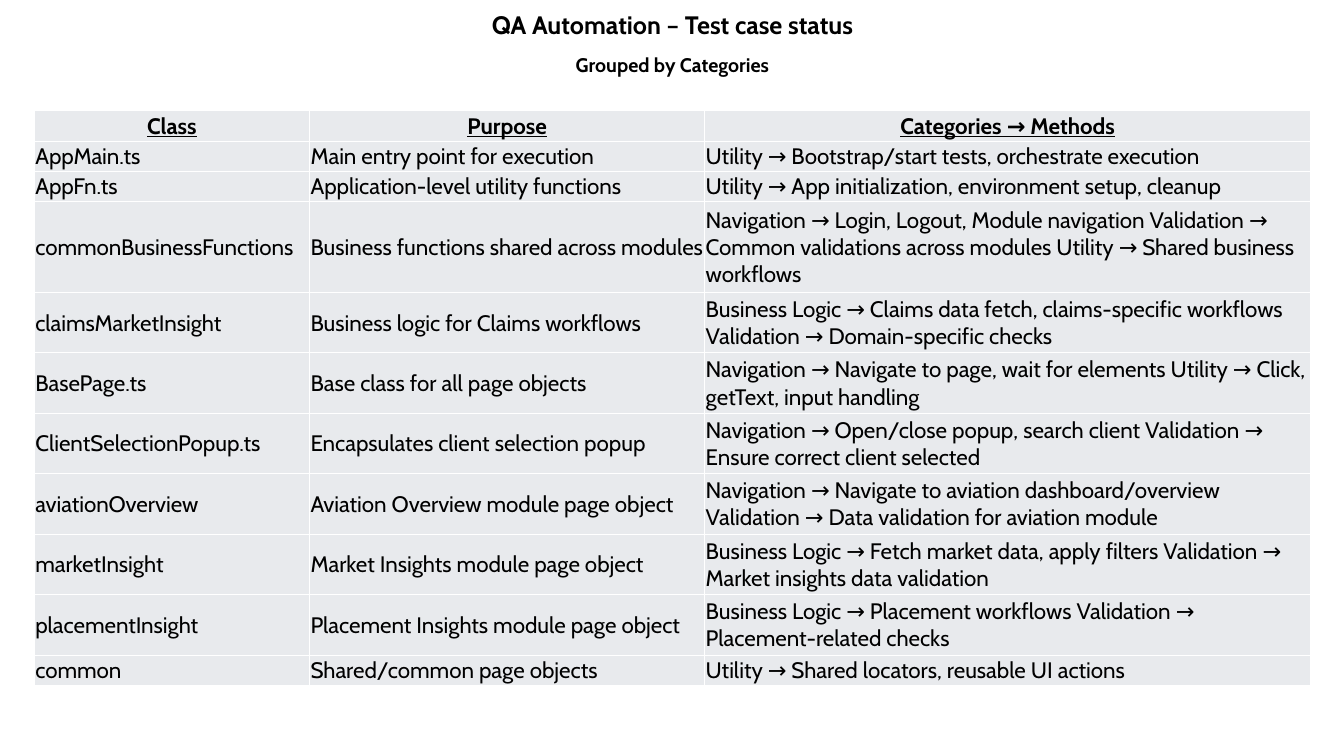
from lxml import etree
from pptx import Presentation
from pptx.dml.color import RGBColor
from pptx.enum.text import MSO_ANCHOR, PP_ALIGN
from pptx.oxml.ns import qn
from pptx.util import Inches, Pt

CENTER, LEFT = PP_ALIGN.CENTER, PP_ALIGN.LEFT
MIDDLE = MSO_ANCHOR.MIDDLE
FONT = "Cabin"
COLORS = {"text": "000000", "cell": "E8EAED", "border": "FFFFFF"}
WIDTHS = [2.73, 3.92, 6.01]
LINE = 0.3  # row height for each line of text

HEAD = ("Class", "Purpose", "Categories → Methods")
# Lines of text in the row, then its three cells
ROWS = [
    (1, "AppMain.ts", "Main entry point for execution",
     "Utility → Bootstrap/start tests, orchestrate execution"),
    (1, "AppFn.ts", "Application-level utility functions",
     "Utility → App initialization, environment setup, cleanup"),
    (3, "commonBusinessFunctions", "Business functions shared across modules",
     "Navigation → Login, Logout, Module navigation Validation → Common "
     "validations across modules Utility → Shared business workflows"),
    (2, "claimsMarketInsight", "Business logic for Claims workflows",
     "Business Logic → Claims data fetch, claims-specific workflows "
     "Validation → Domain-specific checks"),
    (2, "BasePage.ts", "Base class for all page objects",
     "Navigation → Navigate to page, wait for elements "
     "Utility → Click, getText, input handling"),
    (2, "ClientSelectionPopup.ts", "Encapsulates client selection popup",
     "Navigation → Open/close popup, search client "
     "Validation → Ensure correct client selected"),
    (2, "aviationOverview", "Aviation Overview module page object",
     "Navigation → Navigate to aviation dashboard/overview "
     "Validation → Data validation for aviation module"),
    (2, "marketInsight", "Market Insights module page object",
     "Business Logic → Fetch market data, apply filters "
     "Validation → Market insights data validation"),
    (2, "placementInsight", "Placement Insights module page object",
     "Business Logic → Placement workflows "
     "Validation → Placement-related checks"),
    (1, "common", "Shared/common page objects",
     "Utility → Shared locators, reusable UI actions"),
]


def write(frame, text, align, **style):
    """Fill a text frame with one paragraph in the slide's font."""
    para = frame.paragraphs[0]
    para.alignment = align
    run = para.add_run()
    run.text = text
    for name, value in {"name": FONT, **style}.items():
        setattr(run.font, name, value)
    run.font.color.rgb = RGBColor.from_string(COLORS["text"])
    return para


def add_label(slide, box, text, size):
    frame = slide.shapes.add_textbox(*map(Inches, box)).text_frame
    frame.word_wrap = True
    return write(frame, text, CENTER, size=Pt(size), bold=True)


def add_borders(cell):
    props = cell._tc.get_or_add_tcPr()
    for i, side in enumerate(("lnL", "lnR", "lnT", "lnB")):
        line = etree.Element(qn(f"a:{side}"), w=str(Pt(1)))
        fill = etree.SubElement(line, qn("a:solidFill"))
        etree.SubElement(fill, qn("a:srgbClr"), val=COLORS["border"])
        props.insert(i, line)


def fill_cell(cell, text, head):
    layout = {"margin_left": Inches(0.01), "margin_right": Inches(0.01),
              "margin_top": Inches(0.01), "margin_bottom": 0,
              "vertical_anchor": MIDDLE}
    for name, value in layout.items():
        setattr(cell, name, value)
    cell.fill.solid()
    cell.fill.fore_color.rgb = RGBColor.from_string(COLORS["cell"])
    add_borders(cell)
    write(cell.text_frame, text, CENTER if head else LEFT,
          size=Pt(16), bold=head, underline=head)


def add_grid(slide, left, top):
    rows = [(1, *HEAD), *ROWS]
    high = LINE * sum(row[0] for row in rows)
    box = map(Inches, (left, top, sum(WIDTHS), high))
    table = slide.shapes.add_table(len(rows), len(WIDTHS), *box).table
    table.horz_banding = False
    for col, width in zip(table.columns, WIDTHS):
        col.width = Inches(width)
    for r, (lines, *texts) in enumerate(rows):
        table.rows[r].height = Inches(LINE * lines)
        for c, text in enumerate(texts):
            fill_cell(table.cell(r, c), text, r == 0)


def main():
    deck = Presentation()
    deck.slide_width, deck.slide_height = Inches(13.33), Inches(7.5)
    slide = deck.slides.add_slide(deck.slide_layouts[6])
    title = add_label(slide, (0.34, 0.08, 12.66, 0.4),
                      "QA Automation – Test case status", 18)
    title.line_spacing = 0.9
    title.space_before = Pt(10)
    add_label(slide, (0.6, 0.48, 12.14, 0.34), "Grouped by Categories", 14)
    add_grid(slide, 0.34, 1.1)
    deck.save("out.pptx")


if __name__ == "__main__":
    main()
